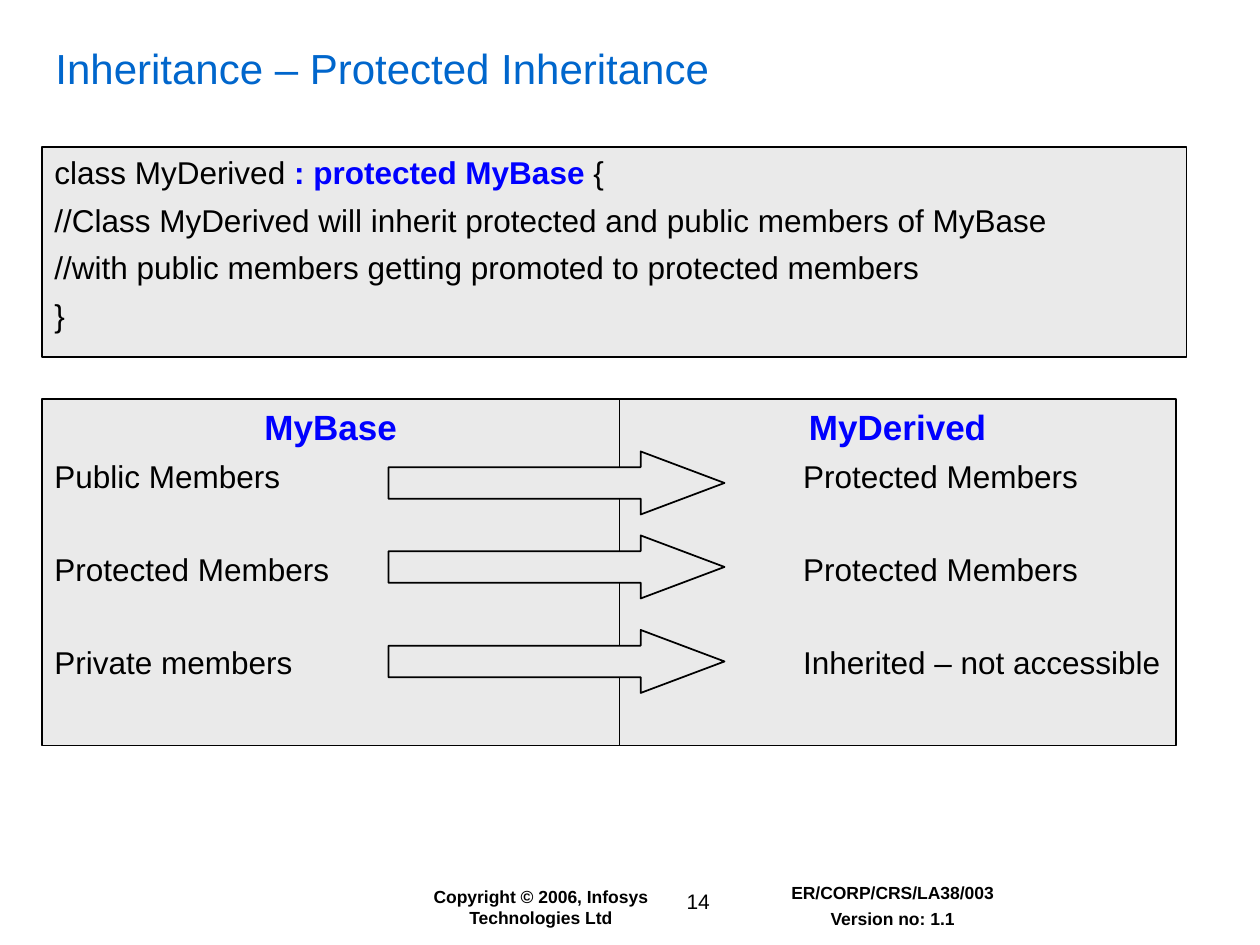
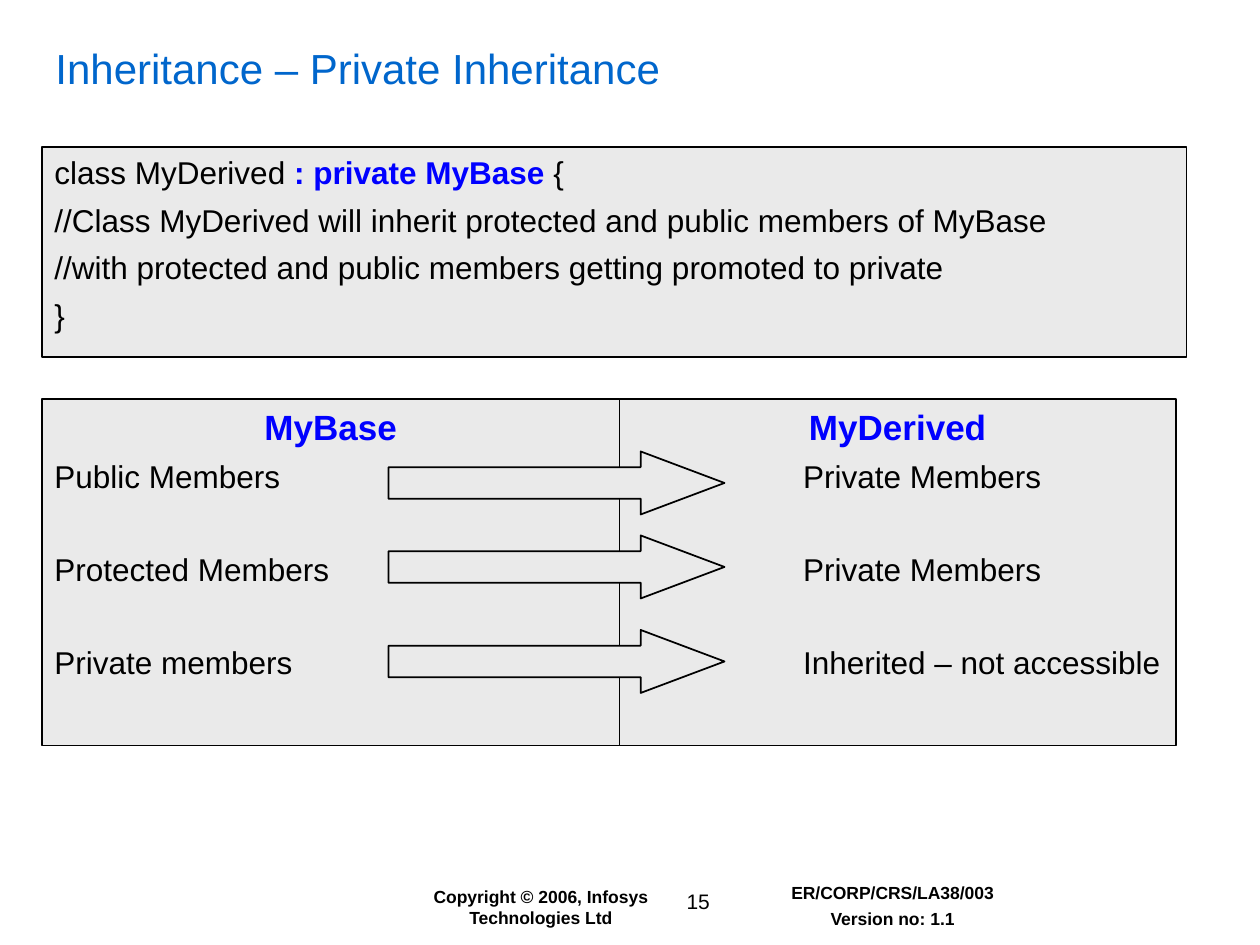
from pptx import Presentation
from pptx.dml.color import RGBColor
from pptx.enum.shapes import MSO_SHAPE as Preset
from pptx.enum.text import MSO_ANCHOR as Anchor, PP_ALIGN as Align
from pptx.util import Inches, Pt

BLACK = RGBColor(0x00, 0x00, 0x00)
TITLE_BLUE = RGBColor(0x00, 0x66, 0xCC)
KEY_BLUE = RGBColor(0x00, 0x00, 0xFF)
PANEL_GREY = RGBColor(0xEA, 0xEA, 0xEA)

COLUMNS, ROWS = 120, 90

TITLE = dict(size=Pt(24), color=TITLE_BLUE)
BODY = dict(size=Pt(18), color=BLACK)
KEYWORD = dict(size=Pt(18), color=KEY_BLUE, bold=True)
HEADING = dict(size=Pt(20), color=KEY_BLUE, bold=True)
FOOTER = dict(size=Pt(10), color=BLACK, bold=True)
PAGE_NUMBER = dict(size=Pt(12), color=BLACK)

CENTERED = dict(alignment=Align.CENTER)
LEFT = dict(alignment=Align.LEFT)
CODE_GAP = LEFT | dict(space_before=Pt(5.6))
MEMBER_GAP = LEFT | dict(space_before=Pt(31.6))
FOOTER_GAP = CENTERED | dict(space_before=Pt(2.8))

BASE_MEMBERS = ["Public Members", "Protected Members", "Private members"]
ARROW_ROWS = [43, 51, 60]
LESSONS = [
    (14, "Protected", "//with public members getting promoted to protected members"),
    (15, "Private", "//with protected and public members getting promoted to private"),
]


class Deck:
    """Builds slides on a 120 by 90 grid in one shared style."""

    def __init__(self):
        self.show = Presentation()
        self.show.slide_width, self.show.slide_height = Inches(10), Inches(7.5)
        self.slide = None

    def place(self, column, row, columns, rows):
        across = self.show.slide_width / COLUMNS
        down = self.show.slide_height / ROWS
        return [round(n) for n in (column * across, row * down, columns * across, rows * down)]

    def fill_text(self, frame, paragraphs, anchor=Anchor.TOP, wrap=True):
        frame.word_wrap, frame.vertical_anchor = wrap, anchor
        for index, (runs, layout, indent) in enumerate(paragraphs):
            paragraph = frame.paragraphs[0] if index == 0 else frame.add_paragraph()
            for name, value in layout.items():
                setattr(paragraph, name, value)
            if indent:
                paragraph._p.get_or_add_pPr().set("marL", str(indent))
            for words, style in runs:
                run = paragraph.add_run()
                run.text = words
                run.font.name = "Arial"
                for name, value in style.items():
                    if name == "color":
                        run.font.color.rgb = value
                    else:
                        setattr(run.font, name, value)

    def text(self, cells, paragraphs, **frame_options):
        label = self.slide.shapes.add_textbox(*self.place(*cells))
        self.fill_text(label.text_frame, paragraphs, **frame_options)

    def shape(self, preset, cells, line_width):
        outline = self.slide.shapes.add_shape(preset, *self.place(*cells))
        outline.shadow.inherit = False
        outline.fill.solid()
        outline.fill.fore_color.rgb = PANEL_GREY
        outline.line.color.rgb = BLACK
        outline.line.width = Pt(line_width)
        return outline

    def panel(self, cells, paragraphs):
        self.fill_text(self.shape(Preset.RECTANGLE, cells, 0.75).text_frame, paragraphs)

    def members(self, cells, heading, names, indent=0):
        gaps = [CODE_GAP, MEMBER_GAP, MEMBER_GAP]
        entries = [([(name, BODY)], gap, indent) for name, gap in zip(names, gaps)]
        self.panel(cells, [([(heading, HEADING)], CENTERED, 0)] + entries)

    def arrow(self, row):
        arrow = self.shape(Preset.RIGHT_ARROW, (37, row, 32, 6), 1)
        arrow.adjustments[0], arrow.adjustments[1] = 0.5, 1.33

    def start(self, title, number):
        self.slide = self.show.slides.add_slide(self.show.slide_layouts[6])
        self.text((38, 83.75, 27, 5.25),
                  [([("Copyright © 2006, Infosys Technologies Ltd", FOOTER)], CENTERED, 0)])
        self.text((60.75, 84, 11.5, 3.6),
                  [([(str(number), PAGE_NUMBER)], CENTERED, 0)], wrap=False)
        self.text((69, 83.4, 32, 5.6),
                  [([("ER/CORP/CRS/LA38/003", FOOTER)], CENTERED, 0),
                   ([("Version no: 1.1", FOOTER)], FOOTER_GAP, 0)])
        self.text((4.1, 3.1, 112.5, 6.75), [([(title, TITLE)], LEFT, 0)], anchor=Anchor.MIDDLE)


def main():
    deck = Deck()
    for number, access, promotion in LESSONS:
        deck.start(f"Inheritance – {access} Inheritance", number)
        declaration = [("class MyDerived ", BODY),
                       (f": {access.lower()} MyBase", KEYWORD), (" {", BODY)]
        comments = ["//Class MyDerived will inherit protected and public members of MyBase",
                    promotion, "}"]
        deck.panel((4, 14, 109, 20), [(declaration, LEFT, 0)]
                   + [([(comment, BODY)], CODE_GAP, 0) for comment in comments])
        deck.members((4, 38, 55, 33), "MyBase", BASE_MEMBERS)
        inherited = [f"{access} Members"] * 2 + ["Inherited – not accessible"]
        deck.members((59, 38, 53, 33), "MyDerived", inherited, indent=Inches(1.36))
        for row in ARROW_ROWS:
            deck.arrow(row)
    deck.show.save("out.pptx")


if __name__ == "__main__":
    main()
